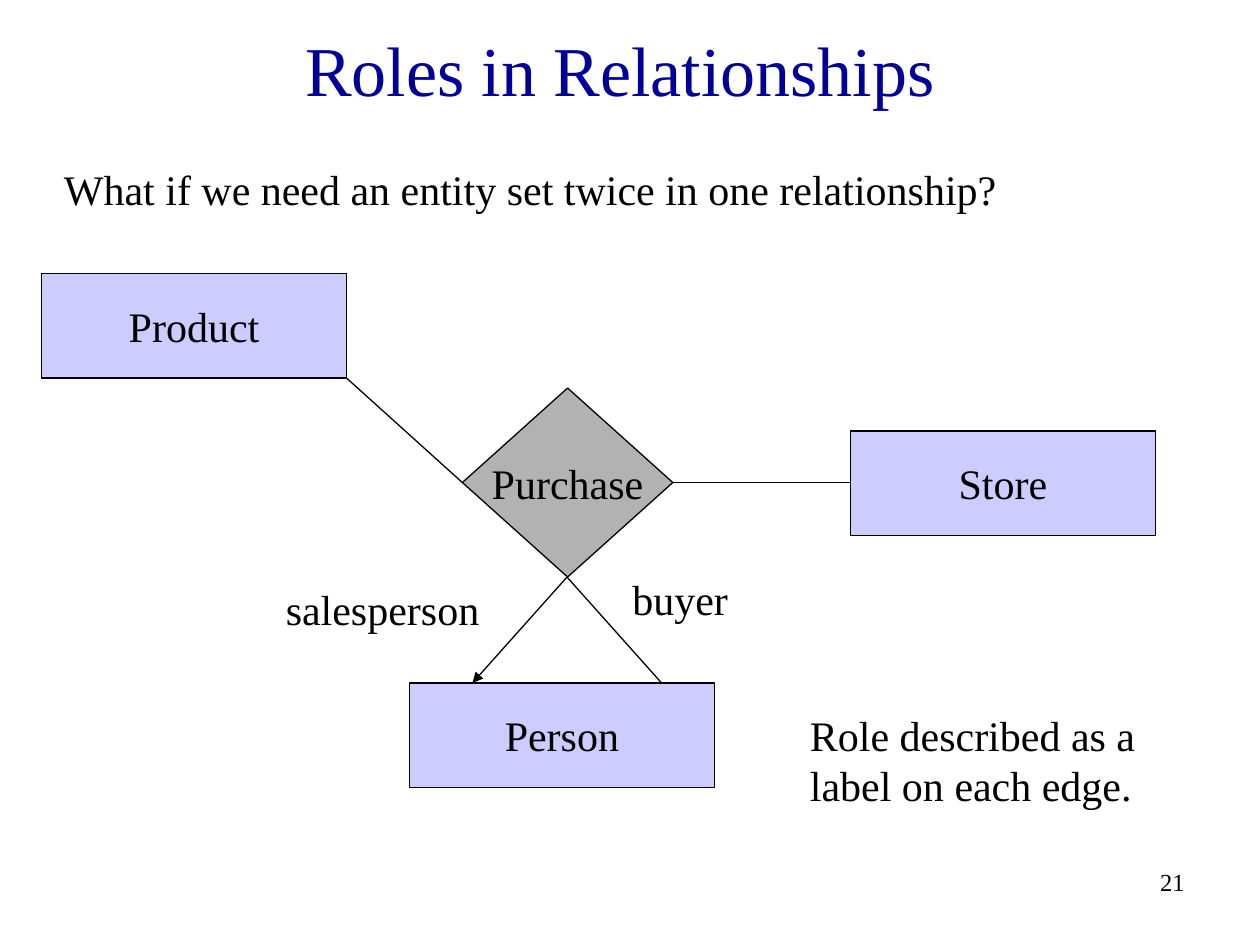
from pptx import Presentation
from pptx.dml.color import RGBColor
from pptx.enum.shapes import MSO_CONNECTOR as Link, MSO_SHAPE as Kind
from pptx.enum.text import MSO_ANCHOR as Anchor, MSO_AUTO_SIZE as Fit, PP_ALIGN as Align
from pptx.oxml.ns import qn
from pptx.util import Inches, Pt
from lxml.etree import SubElement

FONT = "Times New Roman"
BLACK, NAVY, LILAC, GRAY = "000000", "000099", "CCCCFF", "B2B2B2"
BOX = (2.42, 0.83)


def color(code):
    return RGBColor.from_string(code)


def write(frame, text, size=24, ink=BLACK, align=Align.LEFT):
    para = frame.paragraphs[0]
    para.alignment = align
    run = para.add_run()
    run.text = text
    run.font.name = FONT
    run.font.size = Pt(size)
    run.font.color.rgb = color(ink)


def add_title(slide, text):
    title = slide.shapes.title
    title.left, title.top = Inches(0.17), Inches(0.17)
    title.width, title.height = Inches(9.5), Inches(0.75)
    frame = title.text_frame
    frame.auto_size = Fit.NONE
    frame.vertical_anchor = Anchor.MIDDLE
    write(frame, text, 40, NAVY, Align.CENTER)


def add_label(slide, text, x, y, w, h=0.5, **style):
    box = slide.shapes.add_textbox(Inches(x), Inches(y), Inches(w), Inches(h))
    frame = box.text_frame
    frame.word_wrap = True
    frame.auto_size = Fit.NONE
    write(frame, text, **style)


def add_node(slide, kind, text, x, y, w, h, fill):
    node = slide.shapes.add_shape(kind, Inches(x), Inches(y), Inches(w), Inches(h))
    node.shadow.inherit = False
    node.fill.solid()
    node.fill.fore_color.rgb = color(fill)
    node.line.color.rgb = color(BLACK)
    node.line.width = Pt(0.75)
    frame = node.text_frame
    frame.word_wrap = False
    frame.vertical_anchor = Anchor.MIDDLE
    write(frame, text, align=Align.CENTER)


def add_edge(slide, start, end, arrow=False):
    ends = [Inches(n) for n in (*start, *end)]
    edge = slide.shapes.add_connector(Link.STRAIGHT, *ends)
    edge.line.color.rgb = color(BLACK)
    edge.line.width = Pt(0.75)
    if arrow:
        SubElement(edge.line._get_or_add_ln(), qn("a:tailEnd"), type="triangle")
    SubElement(edge._element.spPr, qn("a:effectLst"))


def main():
    deck = Presentation()
    deck.slide_width, deck.slide_height = Inches(10), Inches(7.5)
    slide = deck.slides.add_slide(deck.slide_layouts[5])

    add_title(slide, "Roles in Relationships")
    add_label(slide, "What if we need an entity set twice in one relationship?", 0.41, 1.25, 7.7)

    add_node(slide, Kind.DIAMOND, "Purchase", 3.67, 3.08, 1.67, 1.5, GRAY)
    for name, x, y in (("Product", 0.33, 2.17), ("Person", 3.25, 5.42), ("Store", 6.75, 3.42)):
        add_node(slide, Kind.RECTANGLE, name, x, y, *BOX, LILAC)

    foot = (4.5, 4.58)
    add_edge(slide, (2.75, 3), (3.67, 3.83))
    add_edge(slide, (5.33, 3.83), (6.75, 3.83))
    add_edge(slide, foot, (3.75, 5.42), arrow=True)
    add_edge(slide, foot, (5.25, 5.42))

    add_label(slide, "salesperson", 2.17, 4.58, 1.8)
    add_label(slide, "buyer", 4.92, 4.5, 1)
    add_label(slide, "Role described as a label on each edge.", 6.33, 5.58, 3.42, 0.9)
    add_label(slide, "21", 7.42, 6.83, 2.08, size=14, align=Align.RIGHT)

    deck.save("out.pptx")


if __name__ == "__main__":
    main()
